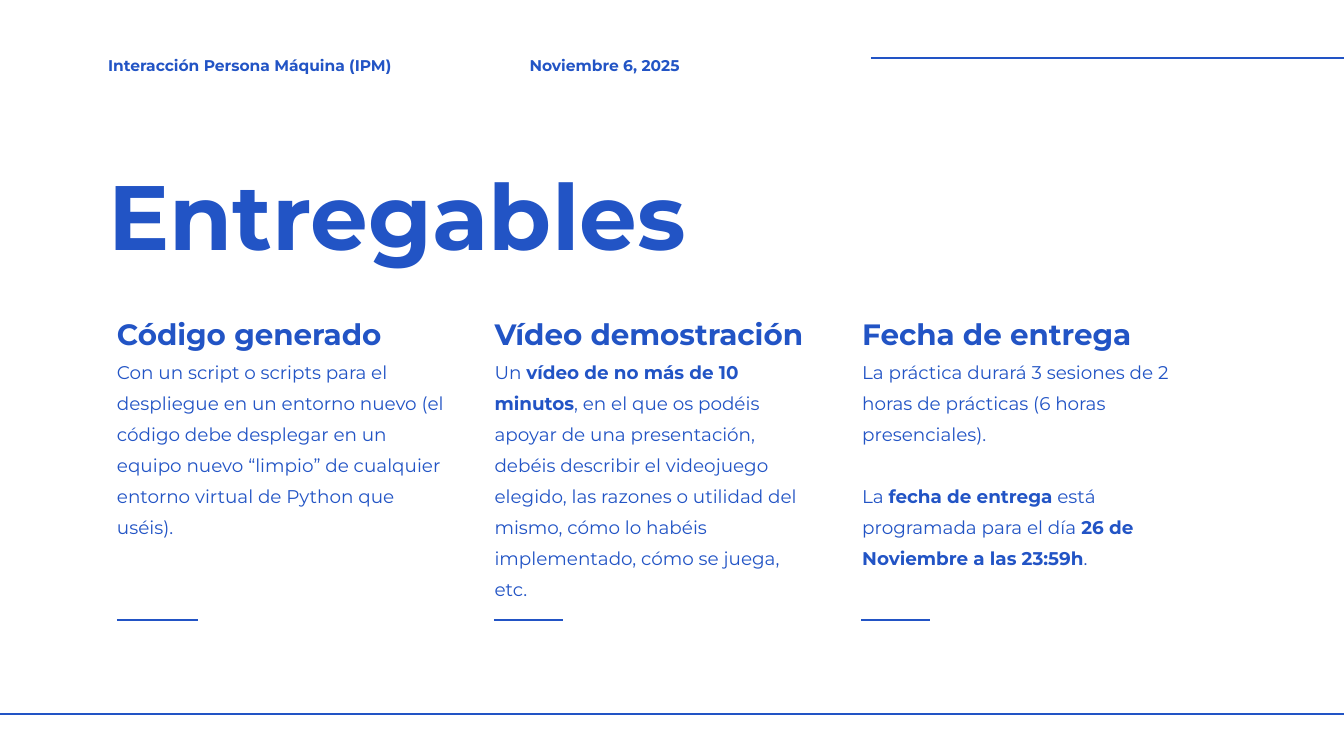
from dataclasses import dataclass

from lxml.etree import SubElement
from pptx import Presentation
from pptx.dml.color import RGBColor
from pptx.enum.shapes import MSO_CONNECTOR
from pptx.enum.text import MSO_ANCHOR, MSO_AUTO_SIZE
from pptx.oxml.ns import qn
from pptx.slide import Slide
from pptx.util import Pt


@dataclass(frozen=True)
class Theme:
    font: str = "Montserrat"
    blue: RGBColor = RGBColor(0x22, 0x54, 0xC5)
    white: RGBColor = RGBColor(0xFF, 0xFF, 0xFF)
    title_size: float = 97.9
    heading_size: float = 31.5
    body_size: float = 19.7
    header_size: float = 16.6
    line_spacing: float = 1.4
    paragraph_gap: float = 32.9
    line_width: float = 2.25


@dataclass(frozen=True)
class TextRun:
    text: str
    bold: bool = False


@dataclass(frozen=True)
class Box:
    left: float
    top: float
    width: float
    height: float


@dataclass(frozen=True)
class Column:
    left: float
    heading: str
    heading_width: float
    body_width: float
    body_height: float
    rule_left: float
    rule_width: float
    paragraphs: list[list[TextRun]]


THEME = Theme()
SLIDE_WIDTH, SLIDE_HEIGHT = 1440, 810
HEADING_TOP, HEADING_HEIGHT = 323.3, 42.5
BODY_TOP = 378
COLUMN_RULE_TOP = 664.6
HEADER_TOP, HEADER_HEIGHT = 51.8, 21.6
MARGIN_LEFT = 115.9

COLUMNS = [
    Column(125.3, "Código generado", 283.7, 351.4, 161.3, 125.3, 86.4, [
        [TextRun("Con un script o scripts para el despliegue en un entorno nuevo "
                 "(el código debe desplegar en un equipo nuevo “limpio” de cualquier "
                 "entorno virtual de Python que uséis).")],
    ]),
    Column(529.9, "Vídeo demostración", 334.1, 340.6, 215.3, 529.2, 73.8, [
        [TextRun("Un "),
         TextRun("vídeo de no más de 10 minutos", True),
         TextRun(", en el que os podéis apoyar de una presentación, debéis describir "
                 "el videojuego elegido, las razones o utilidad del mismo, cómo lo "
                 "habéis implementado, cómo se juega, etc.")],
    ]),
    Column(923.8, "Fecha de entrega", 334.1, 340.6, 187.9, 923, 73.8, [
        [TextRun("La práctica durará 3 sesiones de 2 horas de prácticas "
                 "(6 horas presenciales).")],
        [TextRun("La "),
         TextRun("fecha de entrega", True),
         TextRun(" está programada para el día"),
         TextRun(" 26 de Noviembre a las 23:59h", True),
         TextRun(".")],
    ]),
]


def add_text(slide: Slide, box: Box, paragraphs: list[list[TextRun]], size: float) -> None:
    shape = slide.shapes.add_textbox(Pt(box.left), Pt(box.top), Pt(box.width), Pt(box.height))
    frame = shape.text_frame
    frame.word_wrap = True
    frame.auto_size = MSO_AUTO_SIZE.SHAPE_TO_FIT_TEXT
    frame.vertical_anchor = MSO_ANCHOR.TOP
    frame.margin_left = frame.margin_right = frame.margin_top = frame.margin_bottom = Pt(0)
    for index, text_runs in enumerate(paragraphs):
        paragraph = frame.add_paragraph() if index else frame.paragraphs[0]
        paragraph.line_spacing = THEME.line_spacing
        if index:
            paragraph.space_before = Pt(THEME.paragraph_gap)
        for text_run in text_runs:
            run = paragraph.add_run()
            run.text = text_run.text
            run.font.name = THEME.font
            run.font.size = Pt(size)
            run.font.bold = text_run.bold
            run.font.color.rgb = THEME.blue


def add_bold_line(slide: Slide, box: Box, text: str, size: float) -> None:
    add_text(slide, box, [[TextRun(text, True)]], size)


def add_rule(slide: Slide, left: float, top: float, width: float) -> None:
    connector = slide.shapes.add_connector(
        MSO_CONNECTOR.STRAIGHT, Pt(left), Pt(top), Pt(left + width), Pt(top))
    connector.line.color.rgb = THEME.blue
    connector.line.width = Pt(THEME.line_width)
    SubElement(connector._element.spPr, qn("a:effectLst"))


def add_column(slide: Slide, column: Column) -> None:
    heading_box = Box(column.left, HEADING_TOP, column.heading_width, HEADING_HEIGHT)
    add_bold_line(slide, heading_box, column.heading, THEME.heading_size)
    body_box = Box(column.left, BODY_TOP, column.body_width, column.body_height)
    add_text(slide, body_box, column.paragraphs, THEME.body_size)
    add_rule(slide, column.rule_left, COLUMN_RULE_TOP, column.rule_width)


def main() -> None:
    """Build the deliverables slide and save it."""
    presentation = Presentation()
    presentation.slide_width = Pt(SLIDE_WIDTH)
    presentation.slide_height = Pt(SLIDE_HEIGHT)
    slide = presentation.slides.add_slide(presentation.slide_layouts[6])
    slide.background.fill.solid()
    slide.background.fill.fore_color.rgb = THEME.white

    add_rule(slide, -80.6, 765.4, 1610)
    add_bold_line(slide, Box(MARGIN_LEFT, 123.8, 661, 131.8), "Entregables", THEME.title_size)
    for column in COLUMNS:
        add_column(slide, column)
    add_rule(slide, 933.1, 62.6, 545)
    add_bold_line(slide, Box(MARGIN_LEFT, HEADER_TOP, 346.3, HEADER_HEIGHT),
                  "Interacción Persona Máquina (IPM)", THEME.header_size)
    add_bold_line(slide, Box(567.4, HEADER_TOP, 211.7, HEADER_HEIGHT),
                  "Noviembre 6, 2025", THEME.header_size)
    presentation.save("out.pptx")


if __name__ == "__main__":
    main()
